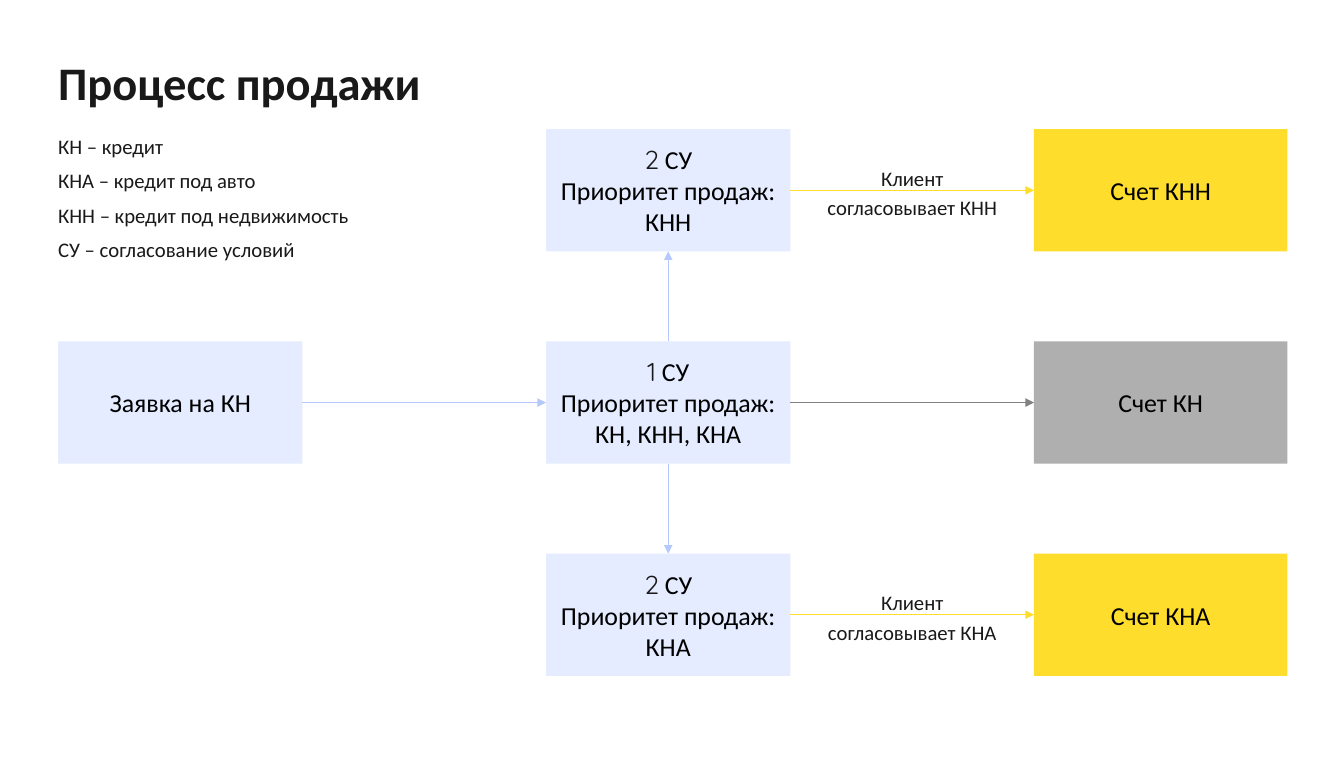
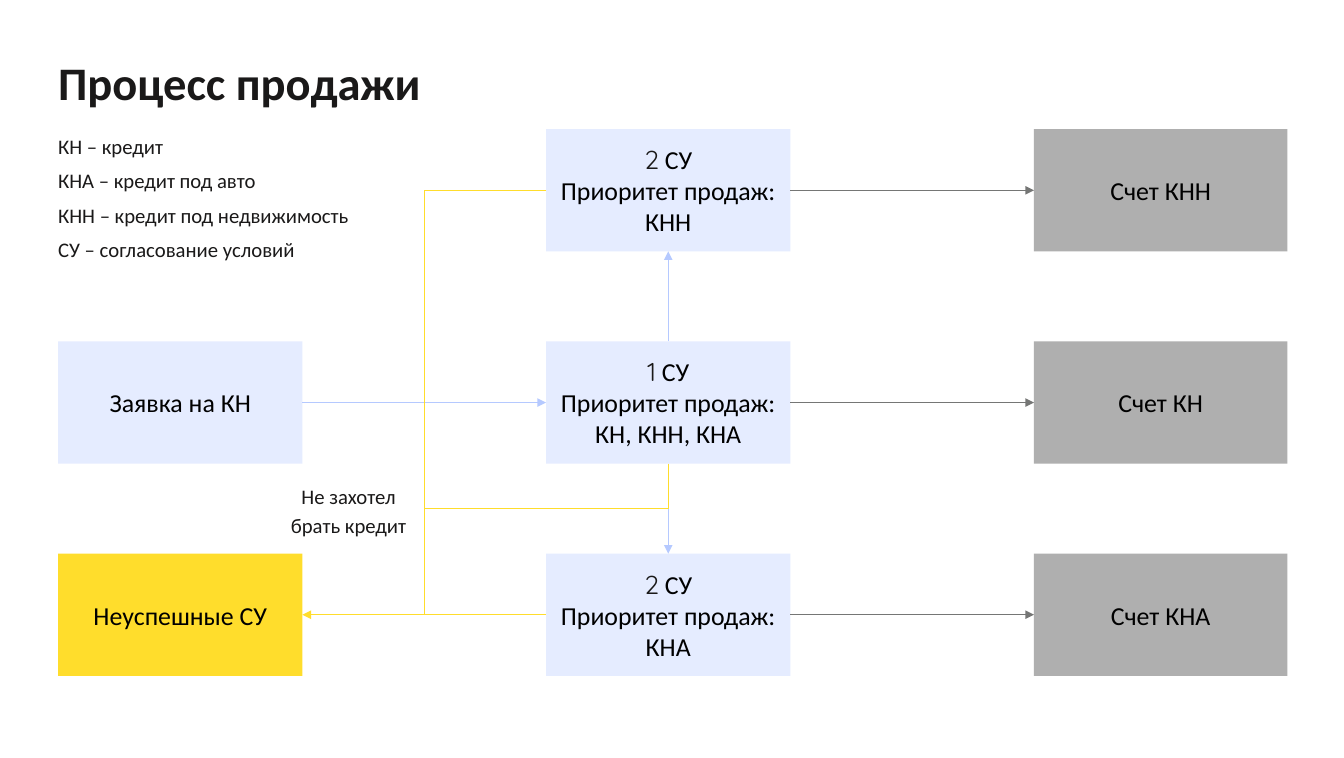
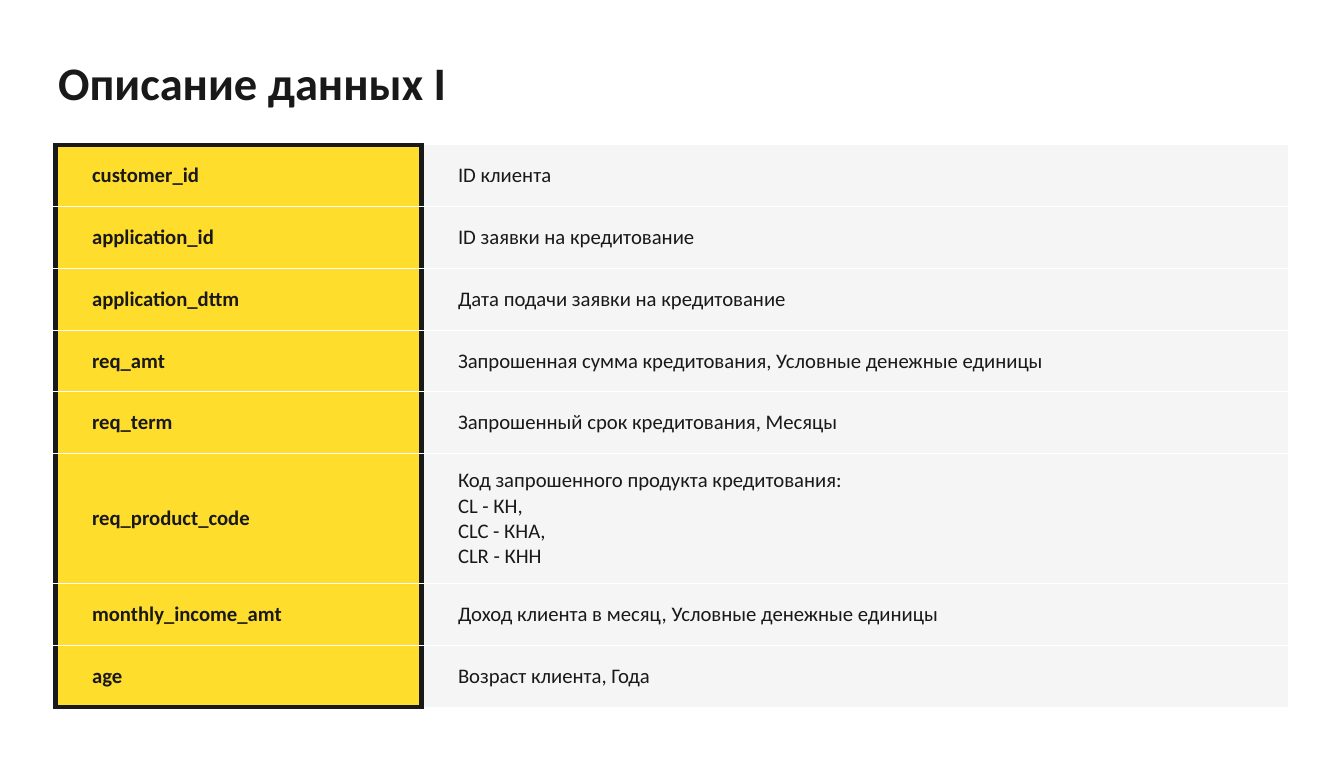
import pptx
import pptx.dml.color
import pptx.enum.shapes
import pptx.enum.text
import pptx.oxml
import pptx.oxml.ns
import pptx.util

Pt = pptx.util.Pt
RGB = pptx.dml.color.RGBColor
ALIGN = pptx.enum.text.PP_ALIGN
ANCHOR = pptx.enum.text.MSO_ANCHOR
CONNECTOR = pptx.enum.shapes.MSO_CONNECTOR
qn = pptx.oxml.ns.qn

INK = RGB(0x1A, 0x19, 0x19)
BLACK = RGB(0, 0, 0)
WHITE = RGB(0xFF, 0xFF, 0xFF)
YELLOW = RGB(0xFF, 0xDD, 0x2C)
PALE_BLUE = RGB(0xE5, 0xEC, 0xFF)
ARROW_BLUE = RGB(0xB5, 0xC9, 0xFF)
GREY = RGB(0xAF, 0xAF, 0xAF)
ARROW_GREY = RGB(0x81, 0x81, 0x81)
DARK_GREY = RGB(0x75, 0x76, 0x75)
PALE_GREY = RGB(0xF5, 0xF5, 0xF6)

TEXT_FONT, NUMBER_FONT = "Calibri", "Quicksand"
TITLE_SIZE, BOX_SIZE, BODY_SIZE = 54, 30, 24

# Grid of the process diagram, in points
SLIDE_W, SLIDE_H = 1559, 878.75
MARGIN = 67.4
TOP_ROW = 149.8
COLUMN_STEP, ROW_STEP = 566, 246
BOX_W, ACCOUNT_W, BOX_H = 283.5, 294, 141.7
ROW_GAP = ROW_STEP - BOX_H
LABEL_H = 67.7
TOP, LEFT, BOTTOM, RIGHT = range(4)  # connection sites of a rectangle

PROCESS_TITLE = "Процесс продажи"
LEGEND = [
    "КН – кредит",
    "КНА – кредит под авто",
    "КНН – кредит под недвижимость",
    "СУ – согласование условий",
]

# key: (column, row, step number, lines)
STEPS = {
    "request": (0, 1, "", ["Заявка на КН"]),
    "first": (1, 1, "1", [" СУ", "Приоритет продаж:", "КН, КНН, КНА"]),
    "car": (1, 2, "2", [" СУ", "Приоритет продаж:", "КНА"]),
    "estate": (1, 0, "2", [" СУ", "Приоритет продаж:", "КНН"]),
}
ACCOUNTS = {
    "account": (2, 1, "", ["Счет КН"]),
    "estate account": (2, 0, "", ["Счет КНН"]),
    "car account": (2, 2, "", ["Счет КНА"]),
}
FAILED = (0, 2, "", ["Неуспешные СУ"])

STEP_ARROWS = [
    ("request", RIGHT, "first", LEFT),
    ("first", TOP, "estate", BOTTOM),
    ("first", BOTTOM, "car", TOP),
]
ACCOUNT_ARROWS = [("first", "account"), ("estate", "estate account"), ("car", "car account")]

# row: label
AGREEMENTS = {0: "Клиент согласовывает КНН", 2: "Клиент согласовывает КНА"}
REFUSAL = "Не захотел брать кредит"

DATA_TITLE = "Описание данных I"
FIELDS = [
    ("customer_id", ["ID клиента"]),
    ("application_id", ["ID заявки на кредитование"]),
    ("application_dttm", ["Дата подачи заявки на кредитование"]),
    ("req_amt", ["Запрошенная сумма кредитования, Условные денежные единицы"]),
    ("req_term", ["Запрошенный срок кредитования, Месяцы"]),
    ("req_product_code", ["Код запрошенного продукта кредитования:", "CL - КН,", "CLC - КНА,", "CLR - КНН"]),
    ("monthly_income_amt", ["Доход клиента в месяц, Условные денежные единицы"]),
    ("age", ["Возраст клиента, Года"]),
]
TABLE_LEFT, TABLE_TOP = 64.3, 168
FIELD_COLUMNS = (424.5, 1005)
FIELD_ROW_H, TALL_ROW_H = 71.6, 150.8
NO_STYLE = "{2D5ABB26-0587-4C30-8999-92F81FD0307C}"


def add_run(paragraph, text, size, color=INK, font=TEXT_FONT, bold=False):
    run = paragraph.add_run()
    run.text = text
    run.font.name, run.font.size, run.font.bold = font, Pt(size), bold
    run.font.color.rgb = color


def paragraphs(frame, count):
    """Yield the frame's paragraphs, adding all but the first."""
    for index in range(count):
        yield frame.add_paragraph() if index else frame.paragraphs[0]


def set_frame(frame, inset=0, anchor=ANCHOR.TOP):
    frame.word_wrap = True
    frame.auto_size = pptx.enum.text.MSO_AUTO_SIZE.NONE
    frame.vertical_anchor = anchor
    frame.margin_left = frame.margin_right = frame.margin_top = frame.margin_bottom = Pt(inset)


def add_titled_slide(deck, title):
    slide = deck.slides.add_slide(deck.slide_layouts.get_by_name("Title Only"))
    heading = slide.shapes.title
    heading.left, heading.top, heading.width, heading.height = Pt(MARGIN), Pt(59), Pt(647), Pt(72)
    set_frame(heading.text_frame, anchor=ANCHOR.MIDDLE)
    paragraph = heading.text_frame.paragraphs[0]
    paragraph.alignment = ALIGN.LEFT
    add_run(paragraph, title, TITLE_SIZE, bold=True)
    return slide


def add_box(slide, step, fill):
    column, row, number, lines = step
    box = slide.shapes.add_shape(
        pptx.enum.shapes.MSO_SHAPE.RECTANGLE,
        Pt(MARGIN + column * COLUMN_STEP), Pt(TOP_ROW + row * ROW_STEP),
        Pt(ACCOUNT_W if column == 2 else BOX_W), Pt(BOX_H))
    box.shadow.inherit = False
    box.fill.solid()
    box.fill.fore_color.rgb = fill
    box.line.fill.background()
    set_frame(box.text_frame, 3.6, ANCHOR.MIDDLE)
    for index, paragraph in enumerate(paragraphs(box.text_frame, len(lines))):
        paragraph.alignment = ALIGN.CENTER
        if number and index == 0:
            add_run(paragraph, number, BOX_SIZE, font=NUMBER_FONT)
        add_run(paragraph, lines[index], BOX_SIZE, BLACK)
    return box


def add_note(slide, left, top, width, height, lines, space_after, align=ALIGN.LEFT):
    note = slide.shapes.add_textbox(Pt(left), Pt(top), Pt(width), Pt(height))
    set_frame(note.text_frame)
    for line, paragraph in zip(lines, paragraphs(note.text_frame, len(lines))):
        paragraph.alignment = align
        paragraph.line_spacing, paragraph.space_after = Pt(34), Pt(space_after)
        add_run(paragraph, line, BODY_SIZE)
    return note


def add_label(slide, center_x, center_y, width, text):
    return add_note(slide, center_x - width / 2, center_y - LABEL_H / 2, width, LABEL_H,
                    [text], 12, ALIGN.CENTER)


def connect(slide, start, start_site, end, end_site, color, kind=CONNECTOR.STRAIGHT, arrow=True):
    link = slide.shapes.add_connector(kind, 0, 0, 0, 0)
    link.begin_connect(start, start_site)
    link.end_connect(end, end_site)
    link.line.color.rgb = color
    link.line.width = Pt(1.5)
    properties = link._element.spPr
    if arrow:
        line = properties.find(qn("a:ln"))
        line.append(line.makeelement(
            qn("a:tailEnd"), {"type": "triangle", "w": "lg", "len": "lg"}))
    properties.append(properties.makeelement(qn("a:effectLst"), {}))
    return link


def route_around(link, first_leg, sideways):
    """Bend a connector down, left, down and right; legs are in points."""
    across, down = abs(link.end_x - link.begin_x), abs(link.end_y - link.begin_y)
    center_x, center_y = (link.begin_x + link.end_x) // 2, (link.begin_y + link.end_y) // 2
    frame = link._element.spPr.get_or_add_xfrm()
    frame.flipH = False
    frame.rot = 90.0
    link.left, link.top = center_x - down // 2, center_y - across // 2
    link.width, link.height = down, across
    geometry = link._element.spPr.find(qn("a:prstGeom"))
    geometry.set("prst", "bentConnector4")
    guides = geometry.find(qn("a:avLst"))
    if guides is None:
        guides = geometry.makeelement(qn("a:avLst"), {})
        geometry.append(guides)
    ratios = Pt(first_leg) / down, Pt(sideways) / across
    for index, ratio in enumerate(ratios, 1):
        guides.append(guides.makeelement(
            qn("a:gd"), {"name": f"adj{index}", "fmla": f"val {round(ratio * 100000)}"}))


def add_process_slide(deck, account_fills, account_colors):
    """Add the diagram common to both process slides; return slide and boxes."""
    slide = add_titled_slide(deck, PROCESS_TITLE)
    add_note(slide, MARGIN, TOP_ROW, 430, 154, LEGEND, 6)
    boxes = {key: add_box(slide, step, PALE_BLUE) for key, step in STEPS.items()}
    for (key, account), fill in zip(ACCOUNTS.items(), account_fills):
        boxes[key] = add_box(slide, account, fill)
    for start, start_site, end, end_site in STEP_ARROWS:
        connect(slide, boxes[start], start_site, boxes[end], end_site, ARROW_BLUE)
    for (start, end), color in zip(ACCOUNT_ARROWS, account_colors):
        connect(slide, boxes[start], RIGHT, boxes[end], LEFT, color)
    return slide, boxes


def add_agreement_slide(deck):
    slide, _ = add_process_slide(deck, [GREY, YELLOW, YELLOW], [ARROW_GREY, YELLOW, YELLOW])
    gap_center = MARGIN + 1.5 * COLUMN_STEP + BOX_W / 2
    for row, text in AGREEMENTS.items():
        add_label(slide, gap_center, TOP_ROW + row * ROW_STEP + BOX_H / 2, 211, text)


def add_refusal_slide(deck):
    slide, boxes = add_process_slide(deck, [GREY] * 3, [DARK_GREY] * 3)
    failed = add_box(slide, FAILED, YELLOW)
    connect(slide, boxes["estate"], LEFT, failed, RIGHT, YELLOW, CONNECTOR.ELBOW)
    detour = connect(slide, boxes["first"], BOTTOM, boxes["car"], LEFT, YELLOW,
                     CONNECTOR.ELBOW, arrow=False)
    route_around(detour, ROW_GAP / 2, COLUMN_STEP / 2)
    label = add_label(slide, 404.3, TOP_ROW + 2 * ROW_STEP - ROW_GAP / 2, 149, REFUSAL)
    label.fill.solid()
    label.fill.fore_color.rgb = WHITE


def set_borders(cell, borders):
    """Draw the cell's borders, given as side: (colour, width)."""
    properties = cell._tc.get_or_add_tcPr()
    for side in "LRTB":
        if side in borders:
            color, width = borders[side]
            properties.append(pptx.oxml.parse_xml(
                f'<a:ln{side} {pptx.oxml.ns.nsdecls("a")} w="{Pt(width)}">'
                f'<a:solidFill><a:srgbClr val="{color}"/></a:solidFill></a:ln{side}>'))


def fill_cell(cell, lines, fill, bold, borders):
    set_borders(cell, borders)
    cell.fill.solid()
    cell.fill.fore_color.rgb = fill
    cell.vertical_anchor = ANCHOR.MIDDLE
    cell.margin_left, cell.margin_right = Pt(42.5), Pt(11.5)
    cell.margin_top = cell.margin_bottom = Pt(5.8)
    for line, paragraph in zip(lines, paragraphs(cell.text_frame, len(lines))):
        add_run(paragraph, line, BODY_SIZE, bold=bold)


def add_data_slide(deck):
    slide = add_titled_slide(deck, DATA_TITLE)
    heights = [TALL_ROW_H if len(lines) > 1 else FIELD_ROW_H for _, lines in FIELDS]
    table = slide.shapes.add_table(
        len(FIELDS), 2, Pt(TABLE_LEFT), Pt(TABLE_TOP),
        Pt(sum(FIELD_COLUMNS)), Pt(sum(heights))).table
    table.first_row = table.horz_banding = False
    table._tbl.tblPr.find(qn("a:tableStyleId")).text = NO_STYLE
    for column, width in zip(table.columns, FIELD_COLUMNS):
        column.width = Pt(width)

    frame, rule = (INK, 6), (WHITE, 1.5)
    last = len(FIELDS) - 1
    for index, (field, lines) in enumerate(FIELDS):
        table.rows[index].height = Pt(heights[index])
        name_borders = {"L": frame, "R": frame,
                        "T": rule if index else frame,
                        "B": rule if index < last else frame}
        meaning_borders = {"L": frame}
        if index:
            meaning_borders["T"] = rule
        if index < last:
            meaning_borders["B"] = rule
        fill_cell(table.cell(index, 0), [field], YELLOW, True, name_borders)
        fill_cell(table.cell(index, 1), lines, PALE_GREY, False, meaning_borders)


def main():
    deck = pptx.Presentation()
    deck.slide_width, deck.slide_height = Pt(SLIDE_W), Pt(SLIDE_H)
    add_agreement_slide(deck)
    add_refusal_slide(deck)
    add_data_slide(deck)
    deck.save("out.pptx")


if __name__ == "__main__":
    main()
